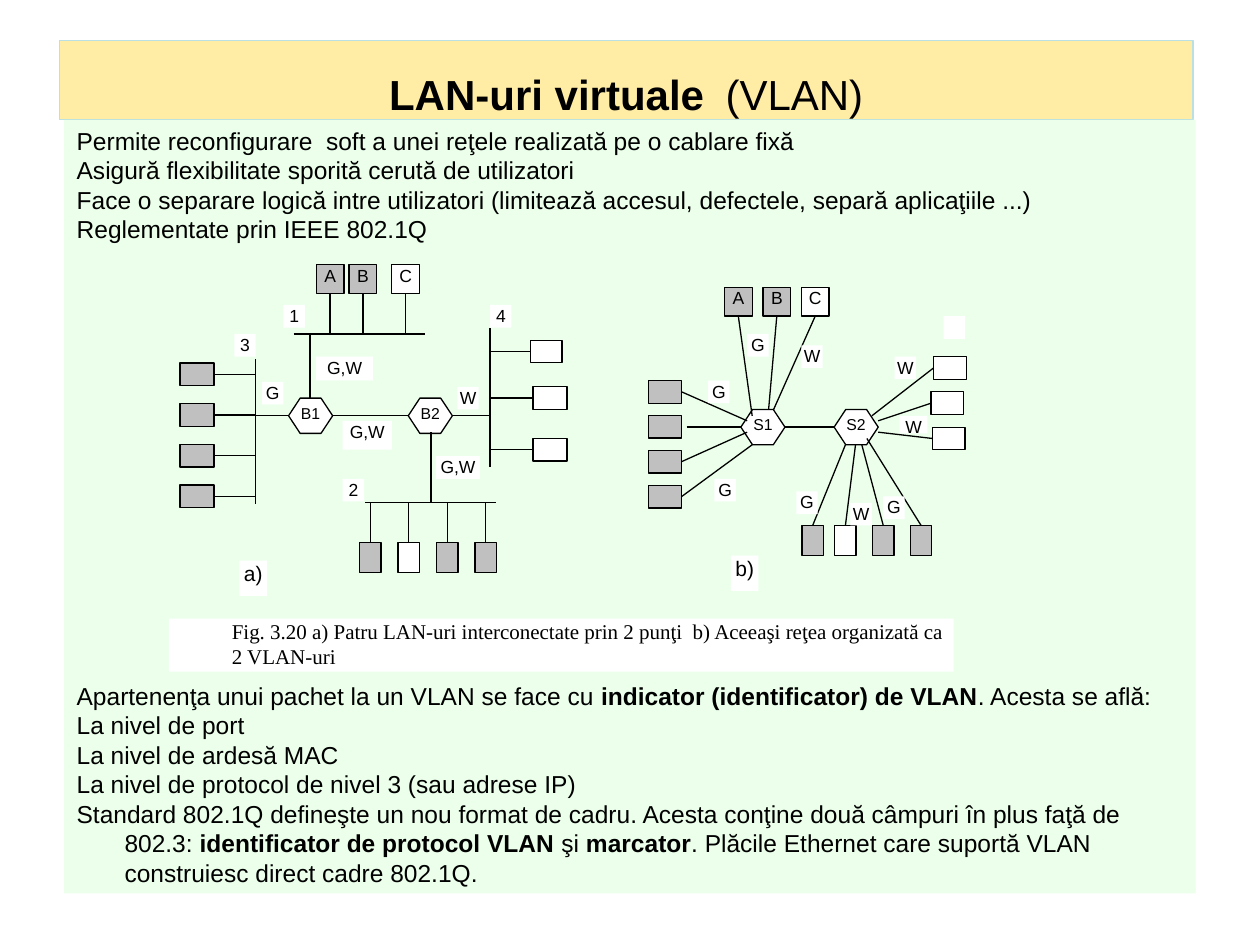
from pptx import Presentation
from pptx.dml.color import RGBColor
from pptx.enum.shapes import MSO_CONNECTOR, MSO_SHAPE
from pptx.enum.text import MSO_ANCHOR, PP_ALIGN
from pptx.oxml import parse_xml
from pptx.oxml.ns import nsdecls, qn
from pptx.util import Inches, Pt

RECTANGLE, HEXAGON = MSO_SHAPE.RECTANGLE, MSO_SHAPE.HEXAGON
STRAIGHT = MSO_CONNECTOR.STRAIGHT
LEFT, CENTER = PP_ALIGN.LEFT, PP_ALIGN.CENTER
ANCHOR_TOP, ANCHOR_MIDDLE = MSO_ANCHOR.TOP, MSO_ANCHOR.MIDDLE
TOP_SIDE, LEFT_SIDE, BOTTOM_SIDE, RIGHT_SIDE = range(4)

BLACK = RGBColor(0x00, 0x00, 0x00)
WHITE = RGBColor(0xFF, 0xFF, 0xFF)
GRAY = RGBColor(0xC0, 0xC0, 0xC0)
YELLOW = RGBColor(0xFF, 0xCC, 0x00)
GREEN = RGBColor(0xCC, 0xFF, 0xCC)
PALE_BLUE = RGBColor(0xBB, 0xE0, 0xE3)

# The slide is a grid of 100 columns and 75 rows of square cells
SLIDE_WIDTH, SLIDE_HEIGHT = Inches(10), Inches(7.5)
CELL = SLIDE_WIDTH / 100

BODY_LINES = [
    ["Permite reconfigurare  soft a unei reţele realizată pe o cablare fixă"],
    ["Asigură flexibilitate sporită cerută de utilizatori"],
    ["Face o separare logică intre utilizatori (limitează accesul, defectele, "
     "separă aplicaţiile ...)"],
    ["Reglementate prin IEEE 802.1Q"],
    ["Apartenenţa unui pachet la un VLAN se face cu ",
     "indicator (identificator) de VLAN", ". Acesta se află:"],
    ["La nivel de port"],
    ["La nivel de ardesă MAC"],
    ["La nivel de protocol de nivel 3 (sau adrese IP)"],
    ["Standard 802.1Q defineşte un nou format de cadru. Acesta conţine două "
     "câmpuri în plus faţă de 802.3: ", "identificator de protocol VLAN", " şi ",
     "marcator", ". Plăcile Ethernet care suportă VLAN construiesc direct cadre 802.1Q."],
]
DIAGRAM_GAP = Pt(250)  # room for the diagrams between body lines 4 and 5
AFTER_DIAGRAM = 4

# Bridges and switches: name, left, top
NODES = [("B1", 22.9, 31.6), ("B2", 32.4, 31.6), ("S1", 58.8, 32.5), ("S2", 66.2, 32.5)]

# Plain lines: bus segments and links between nodes
LINES = [
    ((23.3, 26.5), (33.7, 26.5)), ((20.3, 28.5), (20.3, 40)),
    ((38.9, 26), (38.9, 37.1)), ((29, 39.9), (39.4, 39.9)),
    ((22.9, 33), (19.9, 33)), ((24.6, 31.6), (24.6, 26.5)),
    ((26.4, 33), (32.4, 33)), ((35.9, 33), (38.9, 33)),
    ((34.2, 34.3), (34.2, 39.9)), ((62.3, 33.9), (66.2, 33.9)),
    ((54.5, 33.9), (58.8, 33.9)),
]

# Labels: text, left, top, width, height
SMALL = (1.7, 1.8)
LABELS = [
    ("1", 22.5, 24.2, *SMALL), ("2", 27.2, 38, *SMALL),
    ("3", 18.6, 26.5, *SMALL), ("4", 38.9, 24.2, *SMALL),
    ("G", 20.8, 30.3, *SMALL), ("W", 36.3, 30.7, *SMALL),
    ("G,W", 27.2, 33.4, 3.9, 2.3), ("G,W", 25.1, 28.3, 4.5, 1.9),
    ("G,W", 34.6, 36.2, 3.5, 1.8),
    ("G", 56.2, 30.2, *SMALL), ("G", 59.3, 26.5, *SMALL),
    ("W", 63.6, 27.4, *SMALL), ("W", 71, 28.3, *SMALL),
    ("W", 71.4, 33, 2.2, 1.4), ("G", 56.7, 38, *SMALL),
    ("G", 63.2, 39, *SMALL), ("W", 67.5, 39.9, *SMALL),
    ("G", 70.1, 39.4, *SMALL), ("", 74.9, 25.1, *SMALL),
]


def cells(*values):
    return [round(value * CELL) for value in values]


def add_box(slide, place, fill, line=None, kind=RECTANGLE, opacity=None):
    shape = slide.shapes.add_shape(kind, *cells(*place))
    shape.shadow.inherit = False
    shape.fill.solid()
    shape.fill.fore_color.rgb = fill
    if opacity:
        color = shape.fill._xPr.find(".//" + qn("a:srgbClr"))
        color.append(parse_xml(f'<a:alpha {nsdecls("a")} val="{opacity * 1000}"/>'))
    if line is None:
        shape.line.fill.background()
    else:
        shape.line.color.rgb = line
        shape.line.width = Pt(0.75)
    return shape


def set_frame(shape, anchor=ANCHOR_TOP, inset=None):
    frame = shape.text_frame
    frame.word_wrap = True
    frame.vertical_anchor = anchor
    if inset is not None:
        for side in ("left", "top", "right", "bottom"):
            setattr(frame, f"margin_{side}", inset)
    return frame


def add_run(paragraph, text, size, bold=False, name="Arial"):
    run = paragraph.add_run()
    run.text = text
    formats = {"size": Pt(size), "bold": bold, "name": name}
    for attribute, value in formats.items():
        setattr(run.font, attribute, value)
    run.font.color.rgb = BLACK


def set_indent(paragraph, left, first):
    properties = paragraph._p.get_or_add_pPr()
    properties.set("marL", str(Inches(left)))
    properties.set("indent", str(Inches(first)))


def write_label(shape, text, size=10):
    paragraph = set_frame(shape, inset=0).paragraphs[0]
    paragraph.alignment = CENTER
    if text:
        add_run(paragraph, text, size)


def add_line(slide, start, end):
    connector = slide.shapes.add_connector(STRAIGHT, *cells(*start, *end))
    connector.line.color.rgb = BLACK
    connector.line.width = Pt(0.75)
    connector._element.spPr.append(parse_xml(f'<a:effectLst {nsdecls("a")}/>'))
    return connector


def add_host(slide, place, fill, side, target=None, text=""):
    """Draw a station and its link; None in the target means a straight run."""
    host = add_box(slide, place, fill, BLACK)
    write_label(host, text)
    if target:
        left, top, width, height = place
        middle = (left + width / 2, top + height / 2)
        end = [m if t is None else t for t, m in zip(target, middle)]
        add_line(slide, middle, end).begin_connect(host, side)


def add_node(slide, name, left, top):
    node = add_box(slide, (left, top, 3.5, 2.8), WHITE, BLACK, HEXAGON)
    node.adjustments[0] = 0.33
    label = add_box(slide, (left + 0.9, top + 0.45, *SMALL), WHITE)
    write_label(label, name, 9)


def add_bridged_hosts(slide):
    for left, fill, name in ((25.1, GRAY, "A"), (27.7, GRAY, "B"), (31.1, WHITE, "C")):
        add_host(slide, (left, 21, 2.2, 2.3), fill, BOTTOM_SIDE, (None, 26.5), name)
    for row in range(4):
        add_host(slide, (14.3, 28.8 + 3.23 * row, 2.7, 1.8), GRAY, RIGHT_SIDE, (20.3, None))
    for left, top, width in ((42.1, 27, 2.5), (42.3, 30.7, 2.7), (42.3, 34.8, 2.7)):
        add_host(slide, (left, top, width, 1.8), WHITE, LEFT_SIDE, (38.9, None))
    for column, fill in enumerate((GRAY, WHITE, GRAY, GRAY)):
        add_host(slide, (28.55 + 3.05 * column, 43.05, 1.7, 2.4), fill, TOP_SIDE, (None, 39.9))


def add_switched_hosts(slide):
    top_hosts = (("A", GRAY, (59.7, 33)), ("B", GRAY, (61, 32.5)), ("C", WHITE, (61.4, 32.5)))
    for column, (name, fill, target) in enumerate(top_hosts):
        add_host(slide, (57.5 + 3.05 * column, 22.8, 2.2, 2.3), fill, BOTTOM_SIDE, target, name)
    for row, target in enumerate(((59.3, 33.4), None, (59.3, 34.3), (59.7, 35.3))):
        add_host(slide, (51.5, 30.2 + 2.77 * row, 2.6, 1.8), GRAY, RIGHT_SIDE, target)
    right_hosts = ((74.1, (69.2, 33)), (73.9, (69.7, 33.4)), (74, (69.7, 34.3)))
    for row, (left, target) in enumerate(right_hosts):
        add_host(slide, (left, 28.3 + 2.8 * row, 2.6, 1.8), WHITE, LEFT_SIDE, target)
    bottom_hosts = ((63.65, GRAY, (67.1, 35.3)), (66.25, WHITE, (67.9, 35.3)),
                    (69.25, GRAY, (68.4, 35.3)), (72.25, GRAY, (68.8, 34.8)))
    for left, fill, target in bottom_hosts:
        add_host(slide, (left, 41.7, 1.7, 2.4), fill, TOP_SIDE, target)


def add_title(slide):
    title = add_box(slide, (4.7, 3.2, 90, 6.3), YELLOW, PALE_BLUE, opacity=35)
    paragraph = set_frame(title, ANCHOR_MIDDLE).paragraphs[0]
    paragraph.alignment = CENTER
    add_run(paragraph, "LAN-uri virtuale", 24, bold=True)
    add_run(paragraph, " ", 44)
    add_run(paragraph, "(VLAN)", 24)


def add_body(slide):
    frame = set_frame(add_box(slide, (5.1, 9.5, 89.8, 61.4), GREEN, opacity=39))
    for index, parts in enumerate(BODY_LINES):
        paragraph = frame.add_paragraph() if index else frame.paragraphs[0]
        paragraph.alignment = LEFT
        set_indent(paragraph, 0.38, -0.38)
        if index == AFTER_DIAGRAM:
            paragraph.space_before = DIAGRAM_GAP
        for position, text in enumerate(parts):
            add_run(paragraph, text, 14, bold=position % 2 == 1)


def add_captions(slide):
    for text, left, top in (("a)", 19, 44.5), ("b)", 58, 44.1)):
        write_label(add_box(slide, (left, top, 2.2, 2.8), WHITE), text, 12)
    caption = add_box(slide, (13.4, 49.1, 62.3, 4.2), WHITE)
    paragraph = set_frame(caption, inset=0).paragraphs[0]
    paragraph.alignment = LEFT
    set_indent(paragraph, 0.5, 0)
    add_run(paragraph, "Fig. 3.20 a) Patru LAN-uri interconectate prin 2 punţi  "
            "b) Aceeaşi reţea organizată ca 2 VLAN-uri", 12, name="Times New Roman")


def main():
    presentation = Presentation()
    presentation.slide_width, presentation.slide_height = SLIDE_WIDTH, SLIDE_HEIGHT
    slide = presentation.slides.add_slide(presentation.slide_layouts[6])
    add_title(slide)
    add_body(slide)
    # Both network diagrams, labels in front
    for node in NODES:
        add_node(slide, *node)
    for start, end in LINES:
        add_line(slide, start, end)
    add_bridged_hosts(slide)
    add_switched_hosts(slide)
    for text, *place in LABELS:
        write_label(add_box(slide, place, WHITE), text)
    add_captions(slide)
    presentation.save("out.pptx")


if __name__ == "__main__":
    main()
